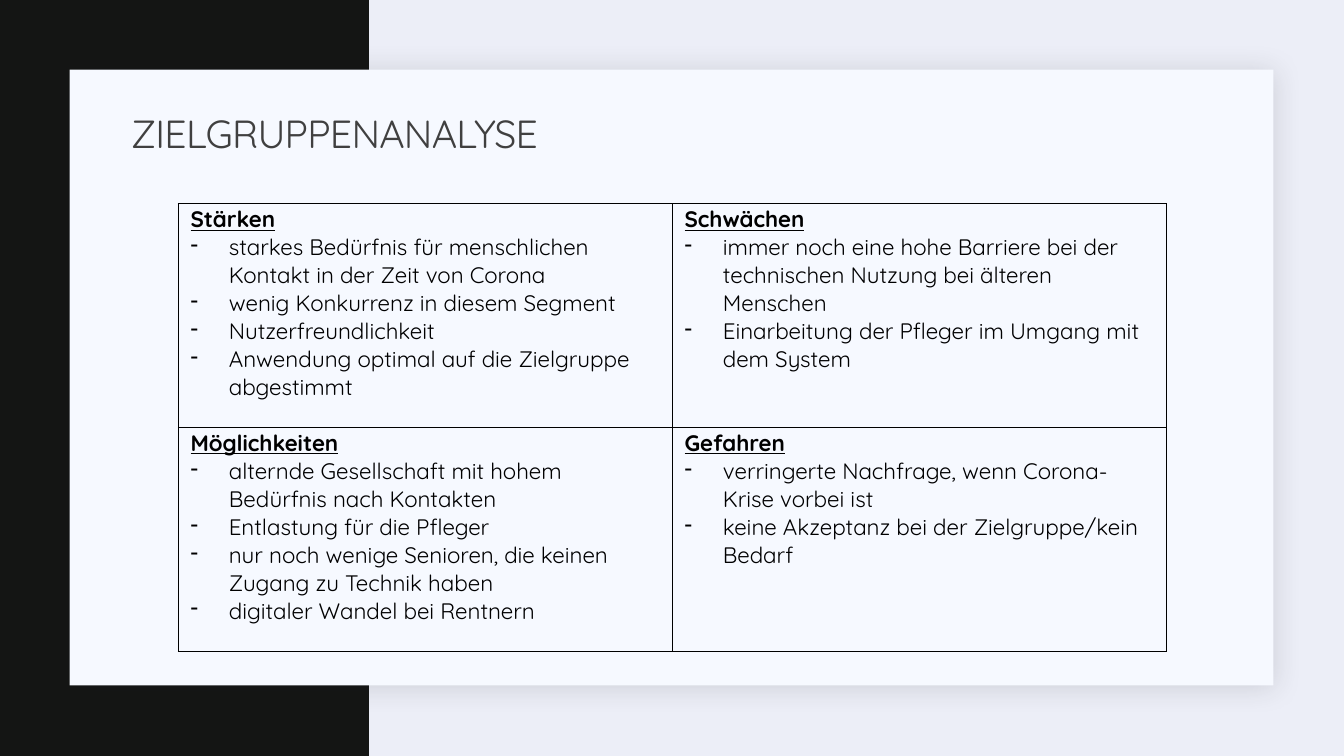
from dataclasses import dataclass

from lxml.etree import SubElement
from pptx import Presentation
from pptx.dml.color import RGBColor
from pptx.enum.shapes import MSO_SHAPE as Shape
from pptx.enum.text import MSO_ANCHOR as Anchor
from pptx.oxml.ns import qn
from pptx.util import Inches, Pt

FONT = "Quicksand"
PALE = RGBColor(0xEC, 0xEE, 0xF7)
DARK = RGBColor(0x14, 0x15, 0x14)
PANEL = RGBColor(0xF6, 0xF9, 0xFF)
SHADE = RGBColor(0x1F, 0x21, 0x25)
GREY = RGBColor(0x40, 0x40, 0x40)
BLACK = RGBColor(0, 0, 0)

COL_W, ROW_H = 4.9, 2.22
INDENT = Inches(0.38)


@dataclass
class Box:
    left: float
    top: float
    width: float
    height: float

    def emu(self) -> tuple:
        return tuple(map(Inches, (self.left, self.top, self.width, self.height)))


@dataclass
class Field:
    """One quadrant of the SWOT table."""
    head: str
    points: list[str]


SWOT = [
    [
        Field("Stärken", [
            "starkes Bedürfnis für menschlichen Kontakt in der Zeit von Corona",
            "wenig Konkurrenz in diesem Segment",
            "Nutzerfreundlichkeit",
            "Anwendung optimal auf die Zielgruppe abgestimmt",
        ]),
        Field("Schwächen", [
            "immer noch eine hohe Barriere bei der technischen Nutzung bei älteren Menschen",
            "Einarbeitung der Pfleger im Umgang mit dem System",
        ]),
    ],
    [
        Field("Möglichkeiten", [
            "alternde Gesellschaft mit hohem Bedürfnis nach Kontakten",
            "Entlastung für die Pfleger",
            "nur noch wenige Senioren, die keinen Zugang zu Technik haben",
            "digitaler Wandel bei Rentnern",
        ]),
        Field("Gefahren", [
            "verringerte Nachfrage, wenn Corona-Krise vorbei ist",
            "keine Akzeptanz bei der Zielgruppe/kein Bedarf",
        ]),
    ],
]


def add_panel(slide, box: Box, color: RGBColor):
    panel = slide.shapes.add_shape(Shape.RECTANGLE, *box.emu())
    panel.fill.solid()
    panel.fill.fore_color.rgb = color
    panel.line.fill.background()
    panel.shadow.inherit = False
    return panel


def cast_shadow(panel) -> None:
    effects = panel.element.spPr.find(qn("a:effectLst"))
    shadow = SubElement(effects, qn("a:outerShdw"), blurRad=str(Pt(20)),
                        dist=str(Pt(2)), dir=str(45 * 60000), rotWithShape="0")
    color = SubElement(shadow, qn("a:srgbClr"), val=str(SHADE))
    SubElement(color, qn("a:alpha"), val="15000")


def set_font(para, size: float, color: RGBColor, strong: bool = False) -> None:
    font = para.font
    font.name = FONT
    font.size = Pt(size)
    font.color.rgb = color
    font.bold = font.underline = strong


def add_title(slide, text: str) -> None:
    frame = slide.shapes.add_textbox(*Box(1.2, 1.03, 11, 0.64).emu()).text_frame
    frame.word_wrap = True
    frame.vertical_anchor = Anchor.MIDDLE
    para = frame.paragraphs[0]
    para.text = text
    para.line_spacing = 0.9
    set_font(para, 28, GREY)
    para.font._element.set("spc", "-50")


def set_dash(para) -> None:
    """Give the paragraph a hanging dash bullet."""
    props = para._p.get_or_add_pPr()
    props.set("marL", str(INDENT))
    props.set("indent", str(-INDENT))
    SubElement(props, qn("a:buChar"), char="-")


def set_border(cell) -> None:
    props = cell._tc.get_or_add_tcPr()
    for side in ("lnL", "lnR", "lnT", "lnB"):
        line = SubElement(props, qn(f"a:{side}"), w=str(Pt(1)))
        fill = SubElement(line, qn("a:solidFill"))
        SubElement(fill, qn("a:srgbClr"), val=str(BLACK))


def fill_cell(cell, field: Field) -> None:
    set_border(cell)
    cell.fill.background()
    cell.margin_left = cell.margin_right = Inches(0.12)
    cell.margin_top, cell.margin_bottom = Inches(0.02), 0
    frame = cell.text_frame
    head = frame.paragraphs[0]
    head.text = field.head
    set_font(head, 16, BLACK, strong=True)
    for point in field.points:
        para = frame.add_paragraph()
        para.text = point
        set_dash(para)
        set_font(para, 16, BLACK)


def add_swot(slide, grid: list[list[Field]]) -> None:
    rows, cols = len(grid), len(grid[0])
    box = Box(1.77, 2.02, cols * COL_W, rows * ROW_H)
    table = slide.shapes.add_table(rows, cols, *box.emu()).table
    table.first_row = table.horz_banding = False
    for col in table.columns:
        col.width = Inches(COL_W)
    for row, fields in zip(table.rows, grid):
        row.height = Inches(ROW_H)
        for cell, field in zip(row.cells, fields):
            fill_cell(cell, field)


def main() -> None:
    deck = Presentation()
    deck.slide_width, deck.slide_height = Inches(13.33), Inches(7.5)
    slide = deck.slides.add_slide(deck.slide_layouts[6])
    back = slide.background.fill
    back.solid()
    back.fore_color.rgb = PALE
    add_panel(slide, Box(0, 0, 3.66, 7.5), DARK)
    cast_shadow(add_panel(slide, Box(0.69, 0.69, 11.94, 6.11), PANEL))
    add_title(slide, "ZIELGRUPPENANALYSE")
    add_swot(slide, SWOT)
    deck.save("out.pptx")


if __name__ == "__main__":
    main()
